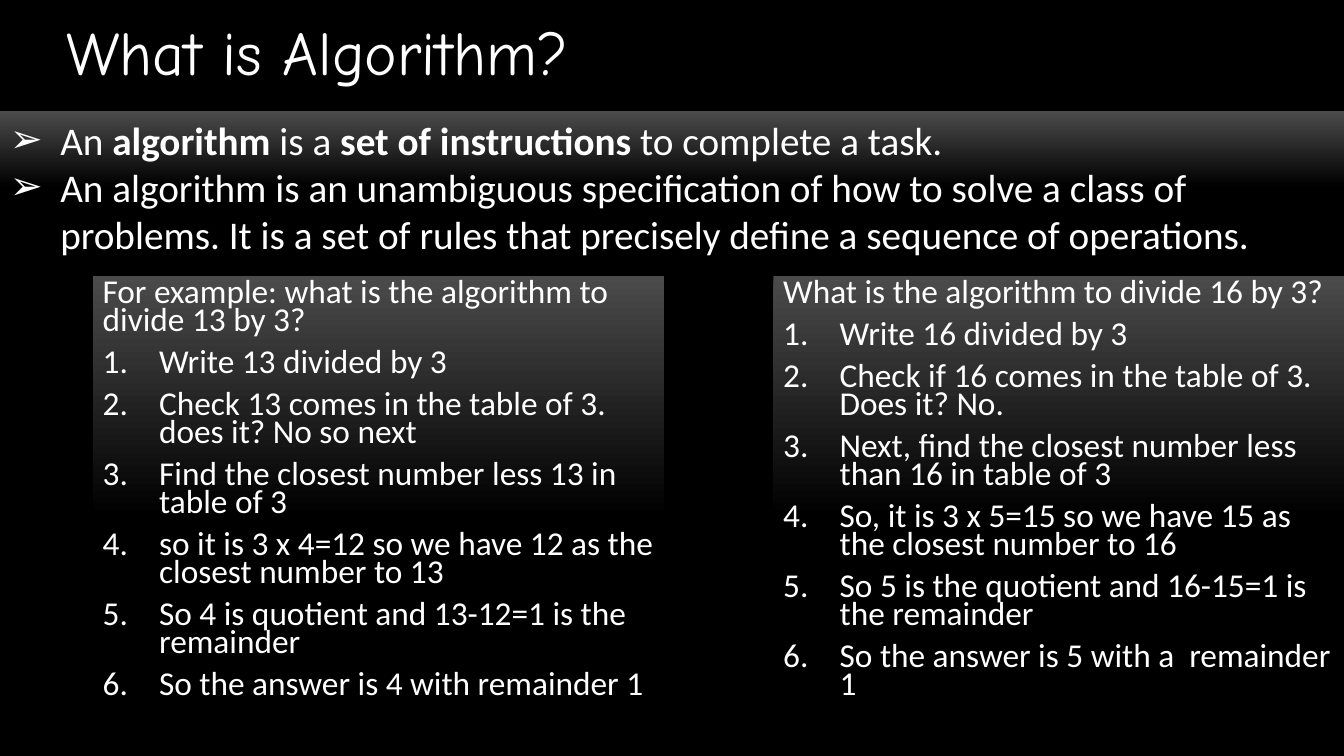
import pptx
import pptx.util
import pptx.dml.color
import pptx.enum.shapes
import pptx.enum.text
import pptx.oxml.ns
import lxml.etree

Inches, Pt = pptx.util.Inches, pptx.util.Pt

# Content
TITLE = "What is Algorithm?"
INTRO = [
    [("An ", False), ("algorithm ", True), ("is a ", False),
     ("set of instructions ", True), ("to complete a task.", False)],
    [("An algorithm is an unambiguous specification of how to solve a class of "
      "problems. It is a set of rules that precisely define a sequence of "
      "operations.", False)],
]
CASES = [
    ("For example: what is the algorithm to divide 13 by 3?", [
        "Write 13 divided by 3",
        "Check 13 comes in the table of 3. does it? No so next",
        "Find the closest number less 13 in table of 3",
        "so it is 3 x 4=12 so we have 12 as the closest number to 13",
        "So 4 is quotient and 13-12=1 is the remainder",
        "So the answer is 4 with remainder 1"]),
    ("What is the algorithm to divide 16 by 3?", [
        "Write 16 divided by 3",
        "Check if 16 comes in the table of 3. Does it? No.",
        "Next, find the closest number less than 16 in table of 3",
        "So, it is 3 x 5=15 so we have 15 as the closest number to 16",
        "So 5 is the quotient and 16-15=1 is the remainder",
        "So the answer is 5 with a  remainder 1"]),
]
COLORS = {"back": "000000", "glow": "4B4B4B", "text": "FFFFFF"}
WIDE, HIGH = 13.33, 7.5
BAND = 1.1                      # top of the intro band
CARD_W, CARD_TOP, CARD_X, CARD_STEP = 5.67, 2.74, 0.92, 6.75


def color(name):
    return pptx.dml.color.RGBColor.from_string(COLORS[name])


def style(run, size, face="Calibri", bold=False):
    run.font.size, run.font.name, run.font.bold = Pt(size), face, bold
    run.font.color.rgb = color("text")


def bullet(para, indent, tag, **attrs):
    props = para._p.get_or_add_pPr()
    props.set("marL", str(Inches(indent)))
    props.set("indent", str(-Inches(indent)))
    face = lxml.etree.SubElement(props, pptx.oxml.ns.qn("a:buFont"))
    face.set("typeface", "Arial")
    mark = lxml.etree.SubElement(props, pptx.oxml.ns.qn(tag))
    for key, value in attrs.items():
        mark.set(key, value)


def panel(left, top, width, height):
    """Rectangle that fades from grey to black at half its height."""
    box = slide.shapes.add_shape(pptx.enum.shapes.MSO_SHAPE.RECTANGLE,
                                 Inches(left), Inches(top),
                                 Inches(width), Inches(height))
    box.shadow.inherit = False
    box.line.fill.background()
    box.fill.gradient()
    box.fill.gradient_angle = 270
    for stop, place, name in zip(box.fill.gradient_stops, (0, 0.5), ("glow", "back")):
        stop.position, stop.color.rgb = place, color(name)
    frame = box.text_frame
    frame.word_wrap = True
    frame.vertical_anchor = pptx.enum.text.MSO_ANCHOR.TOP
    return frame


def add_para(frame, first):
    para = frame.paragraphs[0] if first else frame.add_paragraph()
    para.alignment = pptx.enum.text.PP_ALIGN.LEFT
    return para


# Slide
deck = pptx.Presentation()
deck.slide_width, deck.slide_height = Inches(WIDE), Inches(HIGH)
slide = deck.slides.add_slide(deck.slide_layouts[6])
slide.background.fill.solid()
slide.background.fill.fore_color.rgb = color("back")

# Title
head = slide.shapes.add_textbox(Inches(0.56), 0, Inches(11.85), Inches(BAND)).text_frame
head.word_wrap = True
head.vertical_anchor = pptx.enum.text.MSO_ANCHOR.MIDDLE
head.text = TITLE
head.paragraphs[0].line_spacing = 0.9
style(head.paragraphs[0].runs[0], 44, "Comic Neue")

# Worked examples, side by side
for col, (ask, steps) in enumerate(CASES):
    frame = panel(CARD_X + col * CARD_STEP, CARD_TOP, CARD_W, HIGH - CARD_TOP)
    for row, text in enumerate([ask] + steps):
        para = add_para(frame, row == 0)
        para.text = text
        para.line_spacing, para.space_before = 0.7, Pt(10)
        style(para.runs[0], 23.8)
        if row:
            bullet(para, 0.56, "a:buAutoNum", type="arabicPeriod")

# Intro band
frame = panel(0, BAND, WIDE, 1.51)
for row, parts in enumerate(INTRO):
    para = add_para(frame, row == 0)
    for text, bold in parts:
        run = para.add_run()
        run.text = text
        style(run, 28, bold=bold)
    bullet(para, 0.5, "a:buChar", char="➢")

deck.save("out.pptx")
